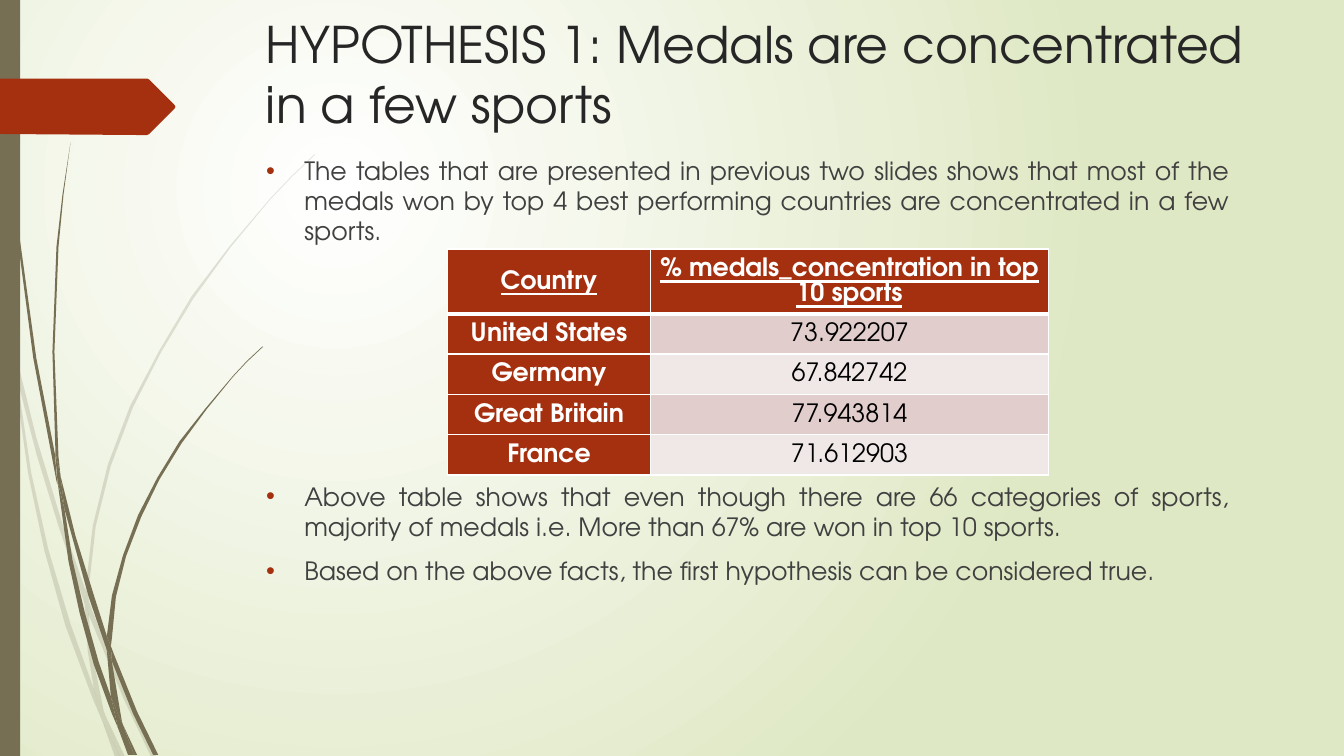
from dataclasses import dataclass, field

from lxml import etree
from pptx import Presentation
from pptx.dml.color import RGBColor
from pptx.enum.shapes import MSO_SHAPE
from pptx.enum.text import MSO_ANCHOR, PP_ALIGN
from pptx.oxml.ns import qn
from pptx.util import Inches, Pt

RECT = MSO_SHAPE.RECTANGLE
TOP, MIDDLE = MSO_ANCHOR.TOP, MSO_ANCHOR.MIDDLE
LEFT, CENTER, JUSTIFY = PP_ALIGN.LEFT, PP_ALIGN.CENTER, PP_ALIGN.JUSTIFY
FONT = "TeX Gyre Adventor"
COLORS = {
    "white": "FFFFFF", "glow": "DFE8C4", "olive": "766F54", "rust": "A53010",
    "title": "262626", "body": "404040", "black": "000000",
    "dark": "E1CDCC", "light": "F0E8E7",
}

# Outlines: corner points in inches
PALE_STEMS = [
    "0.11 3.5, 0.09 3.22, 0 2.82, 0 2.99, 0.1 3.44",
    "0.58 5.22, 0.84 5.99, 0.85 5.86, 0.62 5.2, 0.36 4.34, 0.14 3.45, 0.17 3.76, 0.36 4.5",
    "0.92 6.07, 0.88 5.96, 0.88 6.1, 1.23 6.94, 1.5 7.51, 1.55 7.51, 1.27 6.92",
    "1.19 7.51, 1.24 7.51, 1.05 7.11",
    "0.93 6.83, 0.7 6.19, 0.48 5.45, 0.31 4.69, 0.17 3.76, 0.11 3.5, 0.28 4.7, "
    "0.44 5.46, 0.65 6.21, 0.92 6.93, 1.01 7.14, 0.99 7.07",
    "0.84 5.99, 0.87 6.46, 0.93 6.83, 0.96 6.92, 1.05 7.11, 1.03 7.06, 0.91 6.46, 0.88 6.08",
    "0.88 5.84, 0.95 5.22, 1.1 4.62, 1.32 4.04, 1.6 3.49, 1.92 2.96, 2.29 2.45, 2.68 1.98, "
    "2.9 1.75, 3.12 1.54, 3.12 1.53, 2.89 1.75, 2.68 1.97, 2.28 2.44, 1.9 2.94, 1.58 3.48, "
    "1.29 4.03, 1.07 4.61, 0.92 5.22, 0.85 5.84, 0.85 5.86, 0.88 5.96",
    "1.01 7.14, 1.14 7.51, 1.19 7.51",
    "0.88 6.08, 0.88 6.1, 0.88 5.96, 0.85 5.86, 0.84 5.99",
    "0.96 6.92, 0.93 6.83, 0.99 7.07, 1.01 7.14, 1.19 7.51, 1.05 7.11",
]
DARK_STEMS = [
    "0.07 1.1, 0.17 2.33, 0.33 3.55, 0.56 4.77, 0.57 4.81, 0.55 4.57, 0.55 4.53, 0.36 3.55, "
    "0.19 2.32, 0.08 1.09, 0.05 0.48, 0.04 0, 0.03 0, 0.04 0.48",
    "0.88 5.92, 1.06 6.45, 1.06 6.31, 0.93 5.9, 0.75 5.32, 0.6 4.72, 0.64 5.05",
    "1.13 6.49, 1.1 6.41, 1.11 6.56, 1.32 7.08, 1.52 7.49, 1.57 7.49, 1.36 7.06",
    "1.1 6.91, 0.98 6.57, 0.84 6.07, 0.72 5.56, 0.64 5.05, 0.57 4.77, 0.68 5.57, "
    "0.79 6.08, 0.93 6.59, 1.11 7.08, 1.17 7.22, 1.16 7.17",
    "0.6 4.72, 0.58 4.53, 0.54 3.49, 0.58 2.45, 0.63 1.93, 0.7 1.41, 0.62 1.93, 0.56 2.45, "
    "0.52 3.49, 0.55 4.49",
    "1.33 7.49, 1.36 7.49, 1.22 7.19",
    "0.57 4.77, 0.64 5.05, 0.6 4.72, 0.55 4.49, 0.55 4.53",
    "1.11 6.33, 1.15 5.92, 1.25 5.52, 1.4 5.13, 1.58 4.76, 1.8 4.4, 2.05 4.06, 2.31 3.74, "
    "2.45 3.59, 2.61 3.44, 2.6 3.44, 2.45 3.58, 2.31 3.73, 2.04 4.05, 1.78 4.38, 1.56 4.74, "
    "1.37 5.11, 1.22 5.51, 1.11 5.91, 1.06 6.31, 1.1 6.41",
    "1.17 7.22, 1.27 7.49, 1.31 7.49",
    "1.06 6.45, 1.1 6.91, 1.16 7.06, 1.22 7.19, 1.21 7.16, 1.11 6.56, 1.09 6.51",
    "1.06 6.45, 1.09 6.51, 1.11 6.56, 1.1 6.41, 1.06 6.31",
    "1.16 7.06, 1.1 6.91, 1.16 7.17, 1.17 7.22, 1.3 7.49, 1.33 7.49, 1.22 7.19",
]
BANNER = ("1.73 1.08, 1.48 1.33, 1.46 1.34, 1.36 1.34, 0 1.33, 0 0.78, 1.46 0.78, "
          "1.48 0.79, 1.73 1.04, 1.74 1.06")


@dataclass
class Line:
    text: str
    size: int
    color: str
    align: PP_ALIGN = LEFT
    before: int = 0
    bullet: bool = False
    look: dict = field(default_factory=dict)
    pitch: float = 1.0


TITLE = [Line("HYPOTHESIS 1: Medals are concentrated in a few sports", 36, "title")]
POINTS = [Line(text, 18, "body", JUSTIFY, gap, True) for text, gap in (
    ("The tables that are presented in previous two slides shows that most of the medals "
     "won by top 4 best performing countries are concentrated in a few sports.", 10),
    ("Above table shows that even though there are 66 categories of sports, majority of "
     "medals i.e. More than 67% are won in top 10 sports.", 168),
    ("Based on the above facts, the first hypothesis can be considered true.", 10))]
ROWS = [("Country", "% medals_concentration in top 10 sports"),
        ("United States", "73.922207"), ("Germany", "67.842742"),
        ("Great Britain", "77.943814"), ("France", "71.612903")]


def rgb(name: str) -> RGBColor:
    return RGBColor.from_string(COLORS[name])


def paint(shape, color: str, alpha: int = 100) -> None:
    shape.shadow.inherit = False
    shape.fill.solid()
    shape.fill.fore_color.rgb = rgb(color)
    shape.line.fill.background()
    if alpha < 100:
        tint = shape.element.spPr.find(".//" + qn("a:srgbClr"))
        etree.SubElement(tint, qn("a:alpha"), val=str(alpha * 1000))


def draw(shapes, outline: str, color: str, alpha: int = 100) -> None:
    start, *rest = [tuple(Inches(float(n)) for n in dot.split())
                    for dot in outline.split(",")]
    pen = shapes.build_freeform(*start, scale=1.0)
    pen.add_line_segments(rest, close=True)
    paint(pen.convert_to_shape(), color, alpha)


def write(frame, lines: list[Line]) -> None:
    for num, line in enumerate(lines):
        para = frame.add_paragraph() if num else frame.paragraphs[0]
        form = {"alignment": line.align, "space_before": Pt(line.before),
                "line_spacing": line.pitch}
        for key, val in form.items():
            setattr(para, key, val)
        run = para.add_run()
        run.text = line.text
        for key, val in {"name": FONT, "size": Pt(line.size), **line.look}.items():
            setattr(run.font, key, val)
        run.font.color.rgb = rgb(line.color)
        if line.bullet:
            props = para._p.get_or_add_pPr()
            props.set("marL", str(Inches(0.38)))
            props.set("indent", str(Inches(-0.38)))
            tint = etree.SubElement(props, qn("a:buClr"))
            etree.SubElement(tint, qn("a:srgbClr"), val=COLORS["rust"])
            etree.SubElement(props, qn("a:buFont"), typeface="Arial")
            etree.SubElement(props, qn("a:buChar"), char="•")


def add_text(slide, box: tuple, lines: list[Line]) -> None:
    frame = slide.shapes.add_textbox(*map(Inches, box)).text_frame
    frame.word_wrap = True
    frame.vertical_anchor = TOP
    write(frame, lines)


def add_cell(cell, row: int, col: int) -> None:
    head = row == 0 or col == 0
    form = {"margin_left": Inches(0.07), "margin_right": Inches(0.07),
            "margin_top": 0, "margin_bottom": 0, "vertical_anchor": MIDDLE}
    for key, val in form.items():
        setattr(cell, key, val)
    props = cell._tc.get_or_add_tcPr()
    widths = {"L": 1, "R": 1, "T": 3 if row == 1 else 1, "B": 3 if row == 0 else 1}
    for side, width in widths.items():
        edge = etree.SubElement(props, qn("a:ln" + side), w=str(Pt(width)))
        fill = etree.SubElement(edge, qn("a:solidFill"))
        etree.SubElement(fill, qn("a:srgbClr"), val=COLORS["white"])
    cell.fill.solid()
    cell.fill.fore_color.rgb = rgb("rust" if head else "dark" if row % 2 else "light")
    write(cell.text_frame, [Line(ROWS[row][col], 18, "white" if head else "black", CENTER,
                                 look={"bold": head, "underline": row == 0}, pitch=1.07)])


def add_grid(slide) -> None:
    box = map(Inches, (4.44, 2.47, 5.96, 2))
    grid = slide.shapes.add_table(len(ROWS), 2, *box).table
    grid.first_row = grid.horz_banding = False
    for col, width in zip(grid.columns, (2.01, 3.95)):
        col.width = Inches(width)
    for row in range(len(ROWS)):
        for col in range(2):
            add_cell(grid.cell(row, col), row, col)


def add_glow(slide) -> None:
    fill = slide.background.fill
    fill.gradient()
    for stop, spot, name in zip(fill.gradient_stops, (0, 1), ("white", "glow")):
        stop.position = spot
        stop.color.rgb = rgb(name)
    lin = slide.element.find(".//" + qn("a:lin"))
    grad = lin.getparent()
    grad.remove(lin)
    ring = etree.SubElement(grad, qn("a:path"), {"path": "circle"})
    etree.SubElement(ring, qn("a:fillToRect"), l="50000", t="50000", r="100000", b="100000")


def main() -> None:
    deck = Presentation()
    deck.slide_width, deck.slide_height = Inches(13.33), Inches(7.5)
    slide = deck.slides.add_slide(deck.slide_layouts[6])
    add_glow(slide)
    # Grass stems, side bar and banner
    for stems, alpha in ((PALE_STEMS, 20), (DARK_STEMS, 100)):
        group = slide.shapes.add_group_shape()
        for stem in stems:
            draw(group.shapes, stem, "olive", alpha)
    paint(slide.shapes.add_shape(RECT, 0, 0, Inches(0.2), Inches(7.5)), "olive")
    draw(slide.shapes, BANNER, "rust")
    # Title, points and table
    add_text(slide, (2.54, 0.08, 10.04, 1.4), TITLE)
    add_text(slide, (2.54, 1.49, 9.75, 5.29), POINTS)
    add_grid(slide)
    deck.save("out.pptx")


if __name__ == "__main__":
    main()
